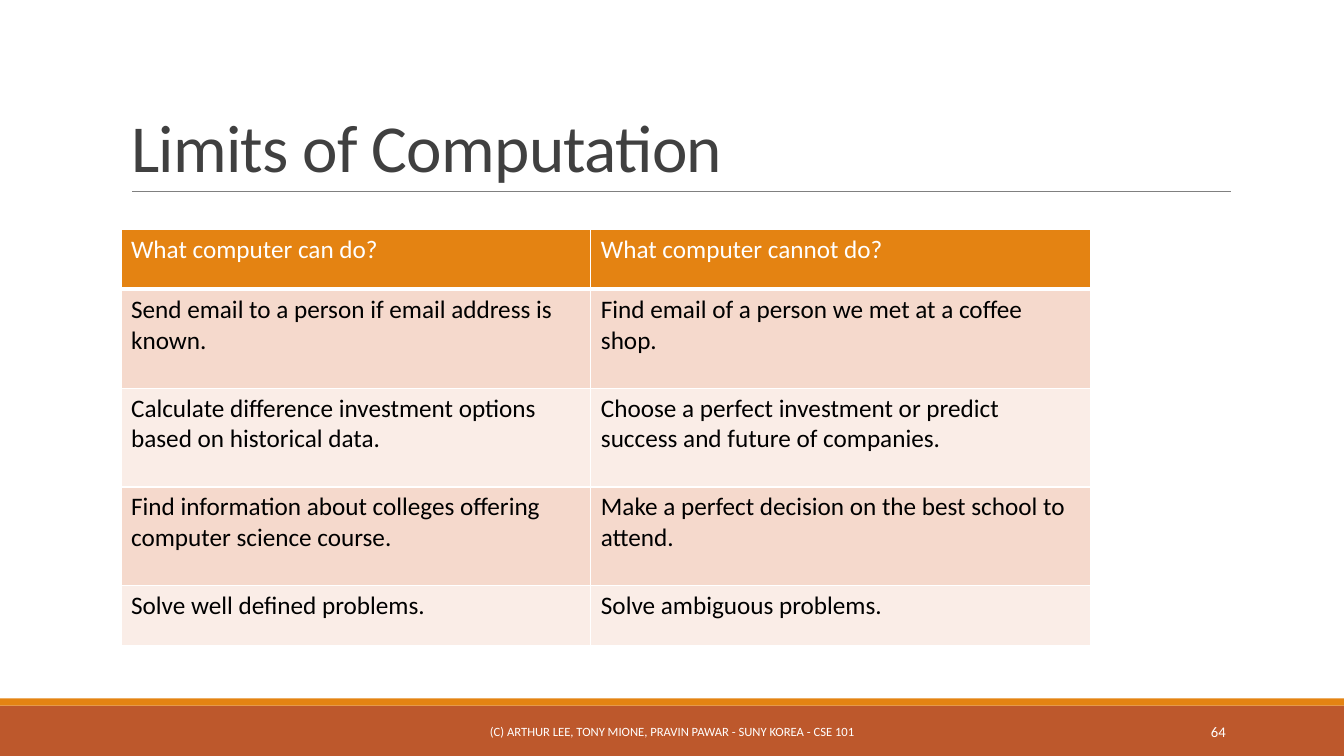
"""Build the slide on the limits of computation."""
from dataclasses import dataclass

from lxml import etree
from pptx import Presentation
from pptx import util as u
from pptx.dml.color import RGBColor
from pptx.enum import shapes, text
from pptx.oxml import ns

Cm = u.Cm


@dataclass(frozen=True)
class Theme:
    font: str = "Calibri"
    white: str = "FFFFFF"
    black: str = "000000"
    title: str = "404040"
    rule: str = "808080"
    orange: str = "E48312"
    rust: str = "BD582C"
    bands: tuple = ("F5D9CC", "FAEDE7")
    title_size: float = 48
    table_size: float = 18
    footer_size: float = 9
    number_size: float = 10.5


THEME = Theme()
ROWS = [
    ("What computer can do?", "What computer cannot do?"),
    ("Send email to a person if email address is known.",
     "Find email of a person we met at a coffee shop."),
    ("Calculate difference investment options based on historical data.",
     "Choose a perfect investment or predict success and future of companies."),
    ("Find information about colleges offering computer science course.",
     "Make a perfect decision on the best school to attend."),
    ("Solve well defined problems.", "Solve ambiguous problems."),
]
COLUMN_WIDTHS = (11.84, 12.6)
ROW_HEIGHTS = (1.52, 2.49, 2.49, 2.49, 1.52)


def apply(target, values):
    for name, value in values.items():
        setattr(target, name, value)


def write(frame, words, size, color, **paragraph_format):
    frame.text = words
    paragraph = frame.paragraphs[0]
    apply(paragraph, paragraph_format)
    font = paragraph.runs[0].font
    apply(font, {"name": THEME.font, "size": u.Pt(size), "bold": False})
    font.color.rgb = RGBColor.from_string(color)
    return paragraph


def fill_with(target, color):
    target.fill.solid()
    target.fill.fore_color.rgb = RGBColor.from_string(color)


def add_bar(slide, top, height, color):
    shape = slide.shapes.add_shape(
        shapes.MSO_SHAPE.RECTANGLE, 0, Cm(top), Cm(33.87), Cm(height))
    shape.shadow.inherit = False
    fill_with(shape, color)
    shape.line.fill.background()


def add_rule(slide):
    line = slide.shapes.add_connector(
        shapes.MSO_CONNECTOR.STRAIGHT, Cm(3.33), Cm(4.83), Cm(31.01), Cm(4.83))
    line.line.color.rgb = RGBColor.from_string(THEME.rule)
    line.line.width = u.Pt(0.5)
    etree.SubElement(line._element.spPr, ns.qn("a:effectLst"))


def add_title(slide, words):
    title = slide.shapes.title
    apply(title, {"left": Cm(3.05), "top": Cm(0.79), "width": Cm(27.94), "height": Cm(4.04)})
    apply(title.text_frame, {"vertical_anchor": text.MSO_ANCHOR.BOTTOM,
                             "auto_size": text.MSO_AUTO_SIZE.NONE, "word_wrap": True})
    paragraph = write(title.text_frame, words, THEME.title_size, THEME.title,
                      alignment=text.PP_ALIGN.LEFT, line_spacing=0.85)
    paragraph.runs[0].font._element.set("spc", "-50")


def add_footer_text(slide, left, width, words, size, alignment):
    box = slide.shapes.add_textbox(Cm(left), Cm(17.93), Cm(width), Cm(1.02))
    apply(box.text_frame, {"word_wrap": True, "vertical_anchor": text.MSO_ANCHOR.MIDDLE})
    write(box.text_frame, words, size, THEME.white, alignment=alignment)


def add_borders(cell, bottom):
    properties = cell._tc.get_or_add_tcPr()
    for side, points in (("L", 1), ("R", 1), ("T", 1), ("B", bottom)):
        border = etree.SubElement(properties, ns.qn(f"a:ln{side}"), w=str(u.Pt(points)))
        fill = etree.SubElement(border, ns.qn("a:solidFill"))
        etree.SubElement(fill, ns.qn("a:srgbClr"), val=THEME.white)


def add_comparison(slide):
    table = slide.shapes.add_table(
        len(ROWS), len(COLUMN_WIDTHS), Cm(3.05), Cm(5.77),
        Cm(sum(COLUMN_WIDTHS)), Cm(sum(ROW_HEIGHTS))).table
    for column, width in zip(table.columns, COLUMN_WIDTHS):
        column.width = Cm(width)
    for index, (words, height) in enumerate(zip(ROWS, ROW_HEIGHTS)):
        header = index == 0
        table.rows[index].height = Cm(height)
        for cell, entry in zip(table.rows[index].cells, words):
            add_borders(cell, 3 if header else 1)
            fill_with(cell, THEME.orange if header else THEME.bands[(index - 1) % 2])
            write(cell.text_frame, entry, THEME.table_size,
                  THEME.white if header else THEME.black)


def main():
    presentation = Presentation()
    apply(presentation, {"slide_width": Cm(33.87), "slide_height": Cm(19.05)})
    slide = presentation.slides.add_slide(presentation.slide_layouts[5])
    add_bar(slide, 17.78, 1.27, THEME.rust)
    add_bar(slide, 17.6, 0.18, THEME.orange)
    add_rule(slide)
    add_title(slide, "Limits of Computation")
    add_footer_text(slide, 10.24, 13.39,
                    "(C) ARTHUR LEE, TONY MIONE, PRAVIN PAWAR - SUNY KOREA - CSE 101",
                    THEME.footer_size, text.PP_ALIGN.CENTER)
    add_footer_text(slide, 27.51, 3.63, "64", THEME.number_size, text.PP_ALIGN.RIGHT)
    add_comparison(slide)
    presentation.save("out.pptx")


if __name__ == "__main__":
    main()
